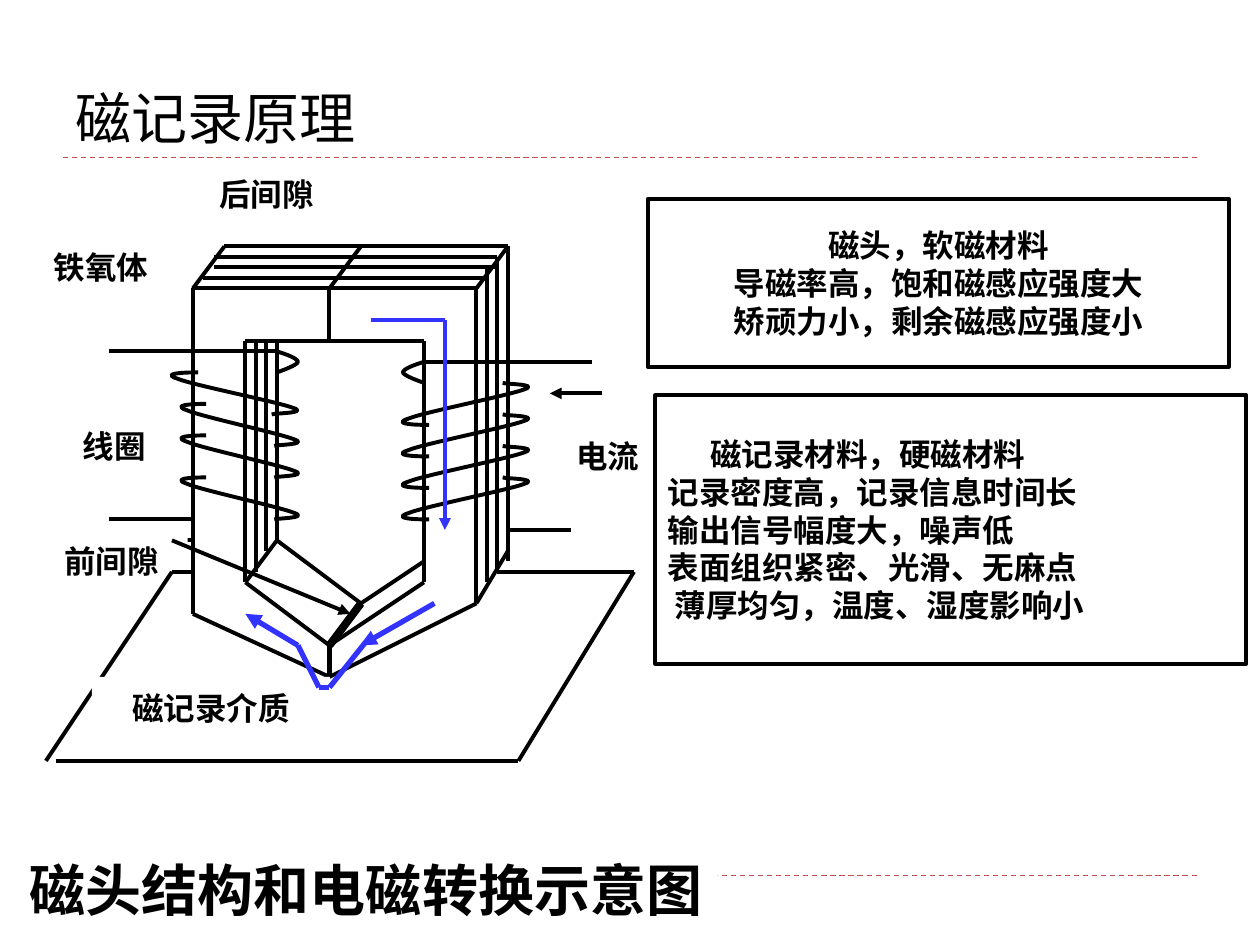
import pptx
import pptx.util
import pptx.dml.color
import pptx.enum.dml
import pptx.enum.shapes
import pptx.enum.text
import pptx.oxml.ns
import lxml.etree

Pt = pptx.util.Pt
ANCHOR = pptx.enum.text.MSO_ANCHOR
ALIGN = pptx.enum.text.PP_ALIGN
BLACK, WHITE, BLUE, RED = "000000", "FFFFFF", "3333FF", "C0504D"
UNIT = 6  # grid step of the drawing, in points

# One coil turn as Bezier points, in fractions of its box
TURN = [(0.25, 0), (0.13, 0), (0, 0.03), (0.11, 0.15), (0.21, 0.3), (0.79, 0.7),
        (0.9, 0.85), (1, 0.97), (0.77, 0.97), (0.75, 1)]
HALF_TURN = [(0, 0), (1, 0.3), (2, 0.7), (2, 1), (2, 1.3), (0.3, 1.9), (0, 2)]


def color(value):
    return pptx.dml.color.RGBColor.from_string(value)


def add_child(parent, tag, **attributes):
    return lxml.etree.SubElement(parent, pptx.oxml.ns.qn(tag), attributes)


def add_line(page, start, end, ink=BLACK, width=2.25, arrow=False, dashed=False):
    line = page.shapes.add_connector(
        pptx.enum.shapes.MSO_CONNECTOR.STRAIGHT, *(Pt(value) for value in (*start, *end)))
    line.line.color.rgb = color(ink)
    line.line.width = Pt(width)
    if dashed:
        line.line.dash_style = pptx.enum.dml.MSO_LINE.DASH
    if arrow:
        add_child(line.line._get_or_add_ln(), "a:tailEnd", type="triangle")
    add_child(line._element.spPr, "a:effectLst")


def grid_point(box, cell):
    return box[0] + cell[0] * UNIT, box[1] + cell[1] * UNIT


def add_grid_line(page, box, start, end, **style):
    add_line(page, grid_point(box, start), grid_point(box, end), **style)


def add_curve(page, box, controls):
    """Draw joined cubic Bezier curves whose control points are grid cells."""
    points = [tuple(Pt(value) for value in grid_point(box, cell)) for cell in controls]
    builder = page.shapes.build_freeform(*points[0])
    builder.add_line_segments(points[1:], close=False)
    curve = builder.convert_to_shape()
    # Join every three line segments into one Bezier segment
    outline = next(curve._element.iter(pptx.oxml.ns.qn("a:path")))
    segments = outline.findall(pptx.oxml.ns.qn("a:lnTo"))
    for first in range(0, len(segments), 3):
        bezier = add_child(outline, "a:cubicBezTo")
        for segment in segments[first:first + 3]:
            bezier.append(segment[0])
            outline.remove(segment)
    curve.shadow.inherit = False
    curve.fill.background()
    curve.line.color.rgb = color(BLACK)
    curve.line.width = Pt(2.25)


def write_lines(frame, lines, size, bold, align, indents=()):
    for index, text in enumerate(lines):
        para = frame.paragraphs[0] if index == 0 else frame.add_paragraph()
        para.text = text
        para.alignment = align
        if indents:
            para._p.get_or_add_pPr().set("indent", str(Pt(indents[index])))
        para.font.name = "Cabin"
        para.font.size = Pt(size)
        para.font.bold = bold
        para.font.color.rgb = color(BLACK)


def add_text_panel(page, box, lines, size=18, align=ALIGN.CENTER, framed=False,
                   wrap=False, indents=()):
    panel = page.shapes.add_shape(
        pptx.enum.shapes.MSO_SHAPE.RECTANGLE, *(Pt(value) for value in box))
    panel.shadow.inherit = False
    panel.fill.solid()
    panel.fill.fore_color.rgb = color(WHITE)
    if framed:
        panel.line.color.rgb = color(BLACK)
        panel.line.width = Pt(2.25)
    else:
        panel.line.fill.background()
    panel.text_frame.word_wrap = wrap
    panel.text_frame.vertical_anchor = ANCHOR.MIDDLE
    write_lines(panel.text_frame, lines, size, True, align, indents)


def add_header(page, box):
    left, top, width, height = box
    add_line(page, (left, top + height), (left + width, top + height), RED, 0.75, dashed=True)
    title = page.shapes.add_textbox(Pt(left), Pt(top), Pt(width), Pt(height - 0.4))
    title.text_frame.word_wrap = True
    title.text_frame.vertical_anchor = ANCHOR.BOTTOM
    write_lines(title.text_frame, ["磁记录原理"], 32, False, ALIGN.LEFT)


def add_footer(page, box):
    left, top = box[:2]
    add_line(page, (36, top + 15.1), (684, top + 15.1), RED, 0.75, dashed=True)
    add_text_panel(page, (left, top, *box[2:]), ["磁头结构和电磁转换示意图"], 32)


def add_core(page, box):
    edges = [
        # Window in the front face
        ((19, 9), (36, 9)), ((19, 9), (19, 32)), ((19, 32), (27, 38)),
        ((36, 9), (36, 32)), ((36, 32), (27, 38)),
        # Front face
        ((27, 4), (27, 9)), ((14, 4), (41, 4)), ((14, 4), (14, 35)),
        ((14, 35), (27, 41)), ((41, 4), (41, 34)), ((41, 34), (27, 41)),
        # Inner depth
        ((22, 9), (22, 28)), ((22, 28), (30, 34)), ((36, 30), (30, 34)), ((22, 28), (19, 32)),
        ((21, 9), (21, 29)), ((20, 9), (20, 31)),
        # Back edges and slanted sides
        ((17, 0), (44, 0)), ((44, 0), (44, 30)), ((30, 0), (27, 4)),
        ((17, 0), (14, 4)), ((44, 0), (41, 4)), ((44, 29), (41, 34)),
        # Layers
        ((16, 1), (43, 1)), ((16, 2), (43, 2)), ((15, 3), (42, 3)),
        ((43, 1), (43, 31)), ((42, 2), (42, 32)),
    ]
    for start, end in edges:
        add_grid_line(page, box, start, end)
    # Front gap
    add_grid_line(page, box, (27, 38), (27, 41), width=3)
    add_grid_line(page, box, (30, 34), (27, 38), width=4.5)


def add_coils(page, box):
    # Leads
    for start, end in [((14, 28), (6, 28)), ((6, 26), (14, 26)), ((6, 10), (22, 10)),
                       ((36, 11), (52, 11)), ((44, 27), (50, 27))]:
        add_grid_line(page, box, start, end)
    # Left turns run downwards, right turns upwards
    for left, top, width in [(11, 12, 14), (12, 15, 13), (12, 18, 13), (12, 22, 13)]:
        add_curve(page, box, [(left + x * width, top + y * 4) for x, y in TURN])
    for top in (13, 16, 19, 22):
        add_curve(page, box, [(33 + x * 14, top + 4 - y * 4) for x, y in TURN])
    # Half turns at the leads
    for left, top, side in ((22, 10, 1), (36, 11, -1)):
        add_curve(page, box, [(left + side * x, top + y) for x, y in HALF_TURN])


def add_part_labels(page, box):
    for text, left, top, width in [("前间隙", -6, 162, 87), ("后间隙", 82.6, -48, 87),
                                   ("铁氧体", -12, -6, 87), ("线圈", 7.6, 96, 63),
                                   ("电流", 289.5, 102, 63)]:
        add_text_panel(page, (box[0] + left, box[1] + top, width, 36), [text])


def add_medium(page, box):
    for start, end in [((1, 49), (45, 49)), ((43, 31), (56, 31)), ((12, 31), (0, 49)),
                       ((45, 49), (56, 31)), ((12, 31), (14, 31))]:
        add_grid_line(page, box, start, end)
    add_text_panel(page, (box[0] + 26.3, box[1] + 246, 136, 36), ["磁记录介质"])


def add_flux(page, box):
    # Pointers for the current and the front gap
    add_grid_line(page, box, (53, 14), (48, 14), arrow=True)
    add_grid_line(page, box, (12, 28), (29, 35), arrow=True)
    # Flux path
    add_grid_line(page, box, (31, 7), (38, 7), ink=BLUE)
    add_grid_line(page, box, (38, 7), (38, 27), ink=BLUE, arrow=True)
    for start, end, arrow in [((37, 34), (30, 38), True), ((27, 42), (31, 37), False),
                              ((26, 42), (24, 38), False), ((24, 38), (19, 35), True),
                              ((26, 42), (27, 42), False)]:
        add_grid_line(page, box, start, end, ink=BLUE, width=3, arrow=arrow)


def add_diagram(page, box):
    for add_part in (add_core, add_coils, add_part_labels, add_medium, add_flux):
        add_part(page, box)


def add_material_panels(page, box):
    left, top = box[:2]
    add_text_panel(page, (left, top, 332, 96),
                   ["磁头，软磁材料", "导磁率高，饱和磁感应强度大", "矫顽力小，剩余磁感应强度小"],
                   framed=True)
    add_text_panel(page, (left + 4.3, top + 112.2, 337.7, 153.6),
                   ["磁记录材料，硬磁材料", "记录密度高，记录信息时间长", "输出信号幅度大，噪声低",
                    "表面组织紧密、光滑、无麻点", "薄厚均匀，温度、湿度影响小"],
                   align=ALIGN.LEFT, framed=True, wrap=True, indents=(24.3, 0, 0, 0, 4))


def main():
    deck = pptx.Presentation()
    deck.slide_width, deck.slide_height = Pt(720), Pt(540)
    page = deck.slides.add_slide(deck.slide_layouts[6])
    add_header(page, (36, 12, 648, 78))
    add_diagram(page, (26.25, 140.8, 336, 294))
    add_footer(page, (8.6, 485.2, 401.5, 45.5))
    add_material_panels(page, (370.2, 113.6, 342, 266))
    deck.save("out.pptx")


if __name__ == "__main__":
    main()
